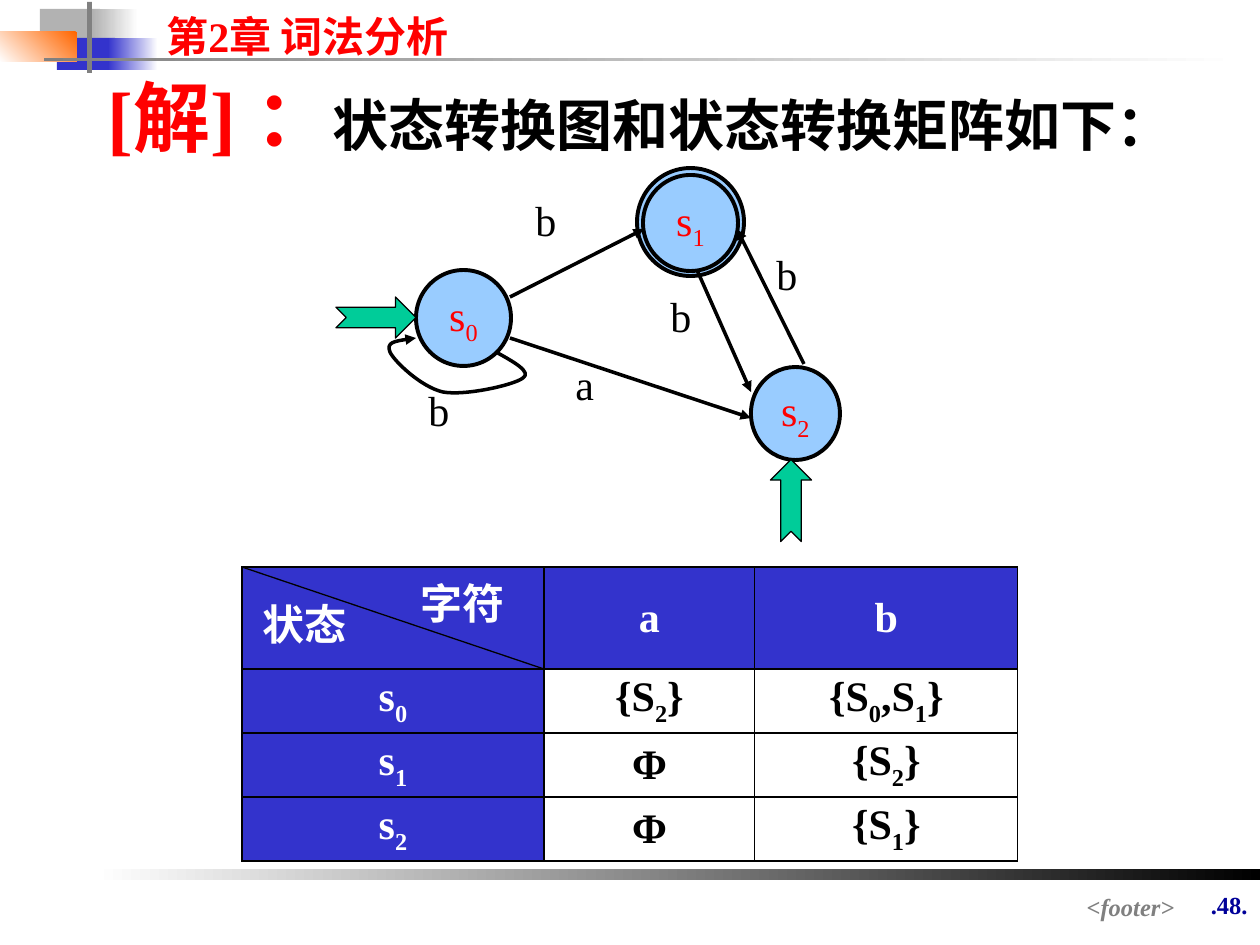
from itertools import groupby, product

from lxml.etree import SubElement
from pptx import Presentation
from pptx.dml.color import RGBColor as RGB
from pptx.enum.shapes import MSO_CONNECTOR as LINK, MSO_SHAPE as KIND
from pptx.enum.text import MSO_ANCHOR as ANCHOR, MSO_AUTO_SIZE as SIZE, PP_ALIGN as ALIGN
from pptx.oxml.ns import qn
from pptx.util import Pt

RED = RGB(0xFF, 0x00, 0x00)
BLACK = RGB(0x00, 0x00, 0x00)
WHITE = RGB(0xFF, 0xFF, 0xFF)
GREY = RGB(0x80, 0x80, 0x80)
SILVER = RGB(0xB2, 0xB2, 0xB2)
BLUE = RGB(0x33, 0x33, 0xCC)
NAVY = RGB(0x00, 0x00, 0x99)
SKY = RGB(0x99, 0xCC, 0xFF)
GREEN = RGB(0x00, 0xCC, 0x99)
ORANGE = RGB(0xFF, 0x66, 0x00)
FACE = "Times New Roman"
SCALE = 914400 / 126


def px(*vals):
    return [round(val * SCALE) for val in vals]


def style(item, **form):
    for key, val in form.items():
        setattr(item, key, val)


def add_run(para, text, color, size=24, **form):
    run = para.add_run()
    run.text = text
    style(run.font, name=FACE, size=Pt(size), **form)
    run.font.color.rgb = color
    return run


def add_sub(para, text, color, **form):
    for low, part in groupby(text, str.isdigit):
        run = add_run(para, "".join(part), color, **form)
        if low:
            run._r.get_or_add_rPr().set("baseline", "-25000")


def add_text(slide, box, text, color, align=ALIGN.LEFT, **form):
    frame = slide.shapes.add_textbox(*px(*box)).text_frame
    frame.word_wrap = True
    para = frame.paragraphs[0]
    para.alignment = align
    add_run(para, text, color, **form)


def add_form(slide, kind, box, fill, width=0):
    form = slide.shapes.add_shape(kind, *px(*box))
    form.shadow.inherit = False
    form.fill.solid()
    form.fill.fore_color.rgb = fill
    if width:
        form.line.color.rgb = BLACK
        form.line.width = Pt(width)
    else:
        form.line.fill.background()
    return form


def add_fade(slide, box, start, end, angle=180):
    fill = add_form(slide, KIND.RECTANGLE, box, start).fill
    fill.gradient()
    fill.gradient_angle = angle
    for stop, color in zip(fill.gradient_stops, (start, end)):
        stop.color.rgb = color


def ink(line, width, head=False):
    line.color.rgb = BLACK
    line.width = Pt(width)
    if head:
        SubElement(line._get_or_add_ln(), qn("a:tailEnd"), type="triangle")


def add_link(slide, ends, width, head=False):
    link = slide.shapes.add_connector(LINK.STRAIGHT, *px(*ends))
    ink(link.line, width, head)
    SubElement(link._element.spPr, qn("a:effectLst"))


def add_loop(slide, left, top):
    spots = [(left + x, top + y) for x, y in (
        (110, 14), (128, 24), (146, 34), (137, 40), (128, 47), (79, 58),
        (57, 54), (35, 49), (8, 23), (4, 14), (0, 4), (15, 2), (30, 0))]
    maker = slide.shapes.build_freeform(*spots[0], scale=SCALE)
    maker.add_line_segments(spots[1:], close=False)
    loop = maker.convert_to_shape()
    loop.shadow.inherit = False
    loop.fill.background()
    ink(loop.line, 2, True)
    track = next(loop._element.iter(qn("a:pathLst")))[0]
    steps = track.findall(qn("a:lnTo"))
    for i in range(0, len(steps), 3):
        curve = SubElement(track, qn("a:cubicBezTo"))
        for step in steps[i:i + 3]:
            curve.append(step[0])
            track.remove(step)


def add_node(slide, box, text):
    node = add_form(slide, KIND.OVAL, box, SKY, 2.25)
    frame = node.text_frame
    style(frame, word_wrap=False, vertical_anchor=ANCHOR.MIDDLE)
    para = frame.paragraphs[0]
    para.alignment = ALIGN.CENTER
    add_sub(para, text, RED)


def add_head(slide, left, top):
    def at(x, y, w, h):
        return left + x, top + y, w, h
    add_form(slide, KIND.RECTANGLE, at(40, 9, 60, 33), SILVER)
    add_fade(slide, at(93, 9, 45, 33), WHITE, SILVER)
    add_form(slide, KIND.RECTANGLE, at(57, 38, 58, 32), BLUE)
    add_fade(slide, at(108, 38, 50, 32), WHITE, BLUE)
    add_fade(slide, at(0, 32, 77, 30), ORANGE, WHITE, 225)
    add_form(slide, KIND.RECTANGLE, at(87, 2, 5, 71), GREY)
    add_fade(slide, at(44, 58, 1198, 3), WHITE, GREY)
    add_text(slide, at(154, 4, 397, 63), "第2章 词法分析", RED, bold=True)


def add_foot(slide, left, top):
    def at(x, y, w, h):
        return left + x, top + y, w, h
    add_fade(slide, at(0, 0, 1165, 11), BLACK, WHITE)
    add_text(slide, at(1081, 15, 84, 72), ".48.", NAVY, ALIGN.RIGHT, size=14, bold=True)
    add_text(slide, at(238, 17, 854, 33), "<footer>", GREY, ALIGN.RIGHT,
             size=14, bold=True, italic=True)


def add_title(slide, *box):
    title = slide.shapes.title
    style(title, **dict(zip(("left", "top", "width", "height"), px(*box))))
    frame = title.text_frame
    style(frame, word_wrap=True, auto_size=SIZE.NONE, vertical_anchor=ANCHOR.TOP)
    para = frame.paragraphs[0]
    style(para, alignment=ALIGN.LEFT, space_before=Pt(20))
    add_run(para, "[解] ：", RED, 44, bold=True)
    add_run(para, "状态转换图和状态转换矩阵如下：", BLACK, 32, bold=True)


def add_graph(slide, left, top):
    def at(x, y, w, h):
        return left + x, top + y, w, h
    add_form(slide, KIND.OVAL, at(301, 0, 107, 108), SKY, 2.25)
    for box, text in (((415, 199, 89, 93), "s2"), ((80, 102, 95, 96), "s0"),
                      ((307, 7, 95, 96), "s1")):
        add_node(slide, at(*box), text)
    for box, turn in (((0, 129, 80, 41), 0), ((414, 312, 82, 41), 270)):
        arrow = add_form(slide, KIND.NOTCHED_RIGHT_ARROW, at(*box), GREEN, 0.75)
        arrow.rotation = turn
    for x, y, u, v in ((174, 129, 308, 61), (174, 170, 415, 250),
                       (468, 196, 401, 61), (361, 102, 415, 224)):
        add_link(slide, (left + x, top + y, left + u, top + v), 2, True)
    for x, y, text in ((187, 20, "b"), (227, 184, "a"), (428, 74, "b"),
                       (322, 116, "b"), (80, 210, "b")):
        add_text(slide, at(x, y, 67, 63), text, BLACK)
    add_loop(slide, left + 50, top + 170)


def add_cell(cell, text, fill, color):
    style(cell, margin_top=0, margin_bottom=0, vertical_anchor=ANCHOR.MIDDLE)
    trim = cell._tc.get_or_add_tcPr()
    for side in ("lnL", "lnR", "lnT", "lnB"):
        edge = SubElement(trim, qn(f"a:{side}"), w=str(Pt(0.75)))
        SubElement(SubElement(edge, qn("a:solidFill")), qn("a:srgbClr"), val=str(BLACK))
    if fill:
        cell.fill.solid()
        cell.fill.fore_color.rgb = fill
    else:
        cell.fill.background()
    para = cell.text_frame.paragraphs[0]
    para.alignment = ALIGN.CENTER
    add_sub(para, text, color, bold=True)


def add_grid(slide, left, top):
    data = (("", "a", "b"), ("s0", "{S2}", "{S0,S1}"),
            ("s1", "Φ", "{S2}"), ("s2", "Φ", "{S1}"))
    wide, tall = (302, 211, 263), (102, 64, 64, 64)
    box = px(left, top, sum(wide), sum(tall))
    grid = slide.shapes.add_table(len(tall), len(wide), *box).table
    for col, size in zip(grid.columns, px(*wide)):
        col.width = size
    for row, size in zip(grid.rows, px(*tall)):
        row.height = size
    for r, c in product(range(len(tall)), range(len(wide))):
        edge = r == 0 or c == 0
        add_cell(grid.cell(r, c), data[r][c], BLUE if edge else None,
                 WHITE if edge else BLACK)
    for x, y, text in ((166, 4, "字符"), (8, 25, "状态")):
        add_text(slide, (left + x, top + y, 112, 63), text, WHITE, bold=True)
    add_link(slide, (left, top, left + wide[0], top + tall[0]), 0.75)


def main():
    deck = Presentation()
    deck.slide_width, deck.slide_height = px(1260, 945)
    slide = deck.slides.add_slide(deck.slide_layouts[5])
    add_head(slide, 0, 0)
    add_foot(slide, 95, 869)
    add_title(slide, 95, 63, 1092, 106)
    add_graph(slide, 336, 168)
    add_grid(slide, 242, 567)
    deck.save("out.pptx")


if __name__ == "__main__":
    main()
